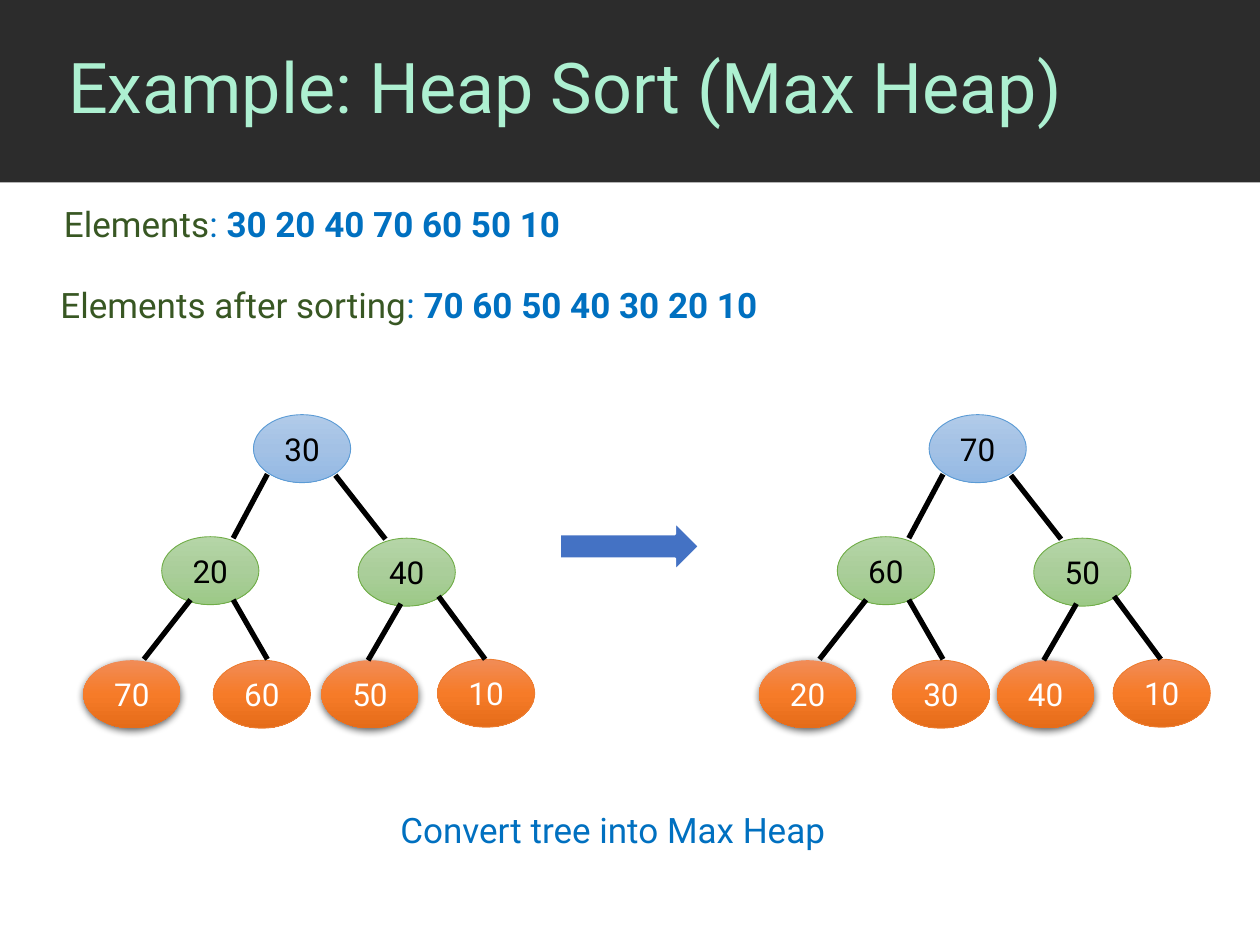
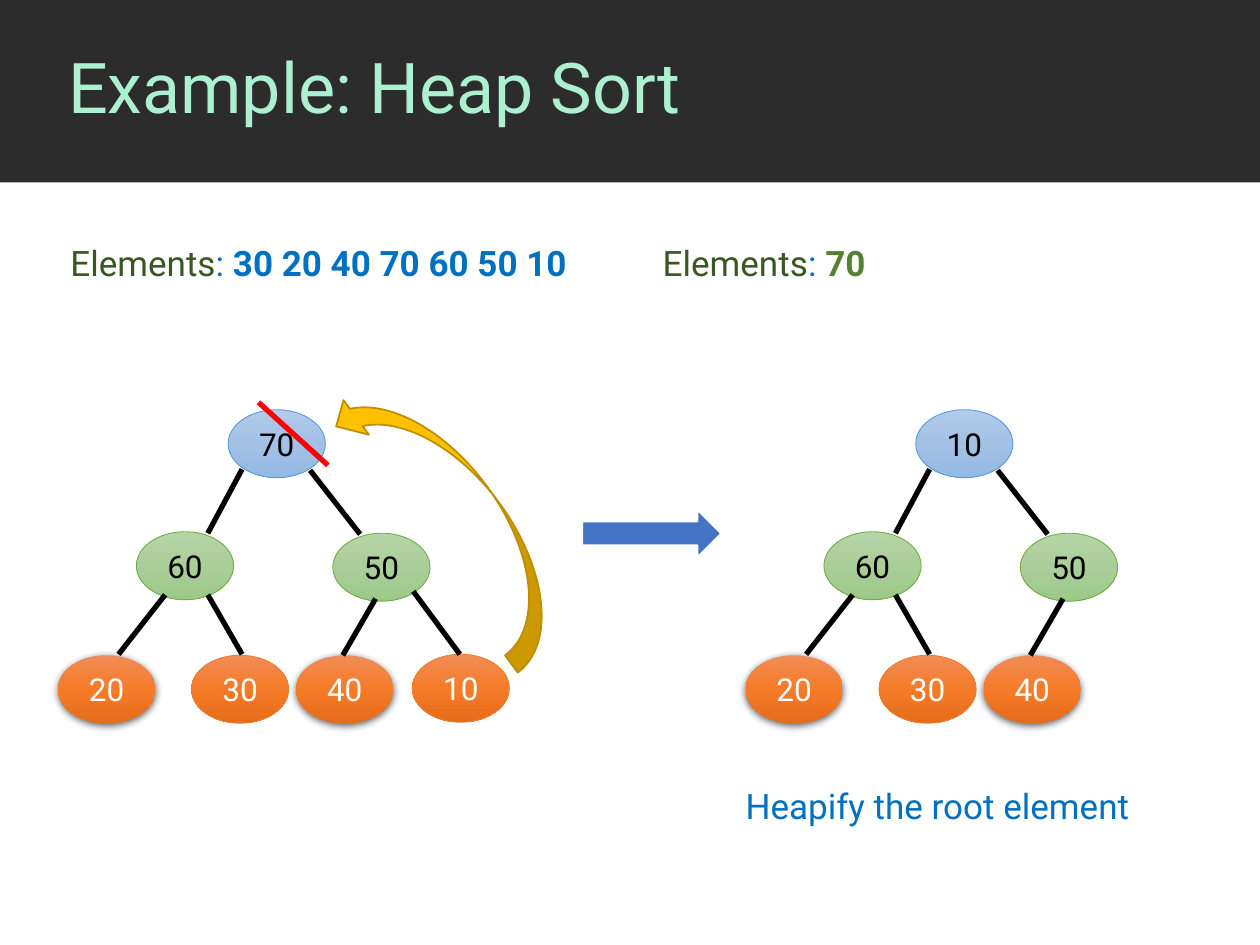
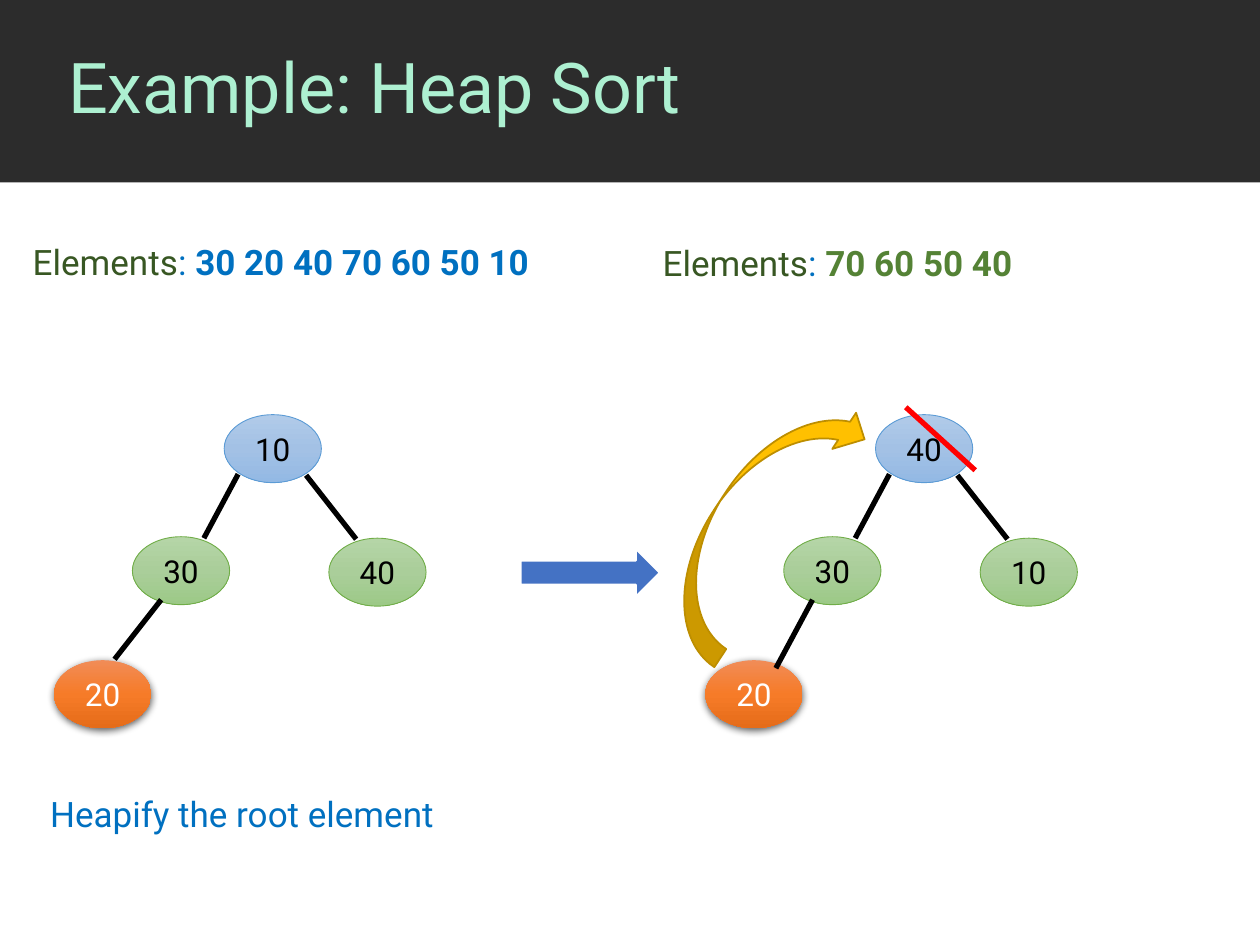
import pptx
import pptx.util
import pptx.dml.color
import pptx.enum.shapes
import pptx.enum.text
import pptx.oxml
import pptx.oxml.ns

Cm = pptx.util.Cm
Pt = pptx.util.Pt
RGBColor = pptx.dml.color.RGBColor
SHAPE = pptx.enum.shapes.MSO_SHAPE
ALIGN = pptx.enum.text.PP_ALIGN
ANCHOR = pptx.enum.text.MSO_ANCHOR
AUTO_SIZE = pptx.enum.text.MSO_AUTO_SIZE

BAND = RGBColor(0x2C, 0x2C, 0x2C)
MINT = RGBColor(0xAD, 0xF0, 0xD1)
DARK_GREEN = RGBColor(0x38, 0x57, 0x23)
GREEN = RGBColor(0x54, 0x82, 0x35)
BLUE = RGBColor(0x00, 0x70, 0xC0)
ARROW_BLUE = RGBColor(0x44, 0x72, 0xC4)
GOLD = RGBColor(0xFF, 0xC0, 0x00)
DARK_GOLD = RGBColor(0xBD, 0x8E, 0x00)
RED = RGBColor(0xFF, 0x00, 0x00)
BLACK = RGBColor(0, 0, 0)
WHITE = RGBColor(0xFF, 0xFF, 0xFF)

ROOT_STYLE = (("B1CBE9", "A3C1E5", "93B9E4"), RGBColor(0x5B, 0x9B, 0xD5), BLACK)
INNER_STYLE = (("B5D5A7", "AACE9A", "9CC987"), RGBColor(0x70, 0xAD, 0x47), BLACK)
LEAF_STYLE = (("F18C57", "F67B28", "E56C19"), RGBColor(0xED, 0x7D, 0x31), WHITE)
LEVEL_STYLES = (ROOT_STYLE, INNER_STYLE, LEAF_STYLE)
SHADOWED_NODES = (3, 5)

SLIDE_SIZE = (25.4, 19.05)
BAND_HEIGHT = 3.68
TITLE_BOX = (1.12, 0, 24.28, 3.66)
NODE_SIZE = (1.96, 1.37)
STEP_ARROW_SIZE = (2.82, 0.99)
TEXT_HEIGHT = 1.12

NODE_OFFSETS = ((0, 0), (-1.85, 2.46), (2.11, 2.49),
                (-3.43, 4.95), (-0.74, 4.95), (1.37, 4.95), (3.71, 4.93))
EDGES = {1: ((0.28, 1.2), (-0.41, 2.49)), 2: ((1.65, 1.22), (2.66, 2.51)),
         3: ((-1.27, 3.73), (-2.21, 4.93)), 4: ((-0.41, 3.73), (0.28, 4.93)),
         5: ((2.97, 3.81), (2.31, 4.95)), 6: ((3.73, 3.66), (4.67, 4.93))}
STRIKE = ((0.61, -0.15), (2.01, 1.12))

LABEL = ("Elements", DARK_GREEN, False)
COLON = (": ", BLUE, False)
ELEMENTS = [LABEL, COLON, ("30 20 40 70 60 50 10", BLUE, True)]
HEAPIFY = [("Heapify the root element", BLUE, False)]

SLIDES = [
    {"title": "Example: Heap Sort (Max Heap)",
     "texts": [(1.04, 3.96, 10.87, ELEMENTS),
               (0.97, 5.59, 14.83, [("Elements after sorting", DARK_GREEN, False), COLON,
                                    ("70 60 50 40 30 20 10", BLUE, True)]),
               (7.82, 16.18, 11.66, [("Convert tree into Max Heap", BLUE, False)])],
     "trees": [{"root": (5.11, 8.36), "values": (30, 20, 40, 70, 60, 50, 10),
                "moved_nodes": {4: (-0.81, 4.95)}},
               {"root": (18.73, 8.36), "values": (70, 60, 50, 20, 30, 40, 10)}],
     "step_arrow": (11.28, 10.52)},
    {"title": "Example: Heap Sort",
     "texts": [(1.17, 4.75, 10.67, ELEMENTS),
               (13.11, 4.75, 10.67, [LABEL, COLON, ("70", GREEN, True)]),
               (14.78, 15.7, 10.67, HEAPIFY)],
     "trees": [{"root": (4.6, 8.26), "values": (70, 60, 50, 20, 30, 40, 10), "strike": True},
               {"root": (18.46, 8.26), "values": (10, 60, 50, 20, 30, 40)}],
     "step_arrow": (11.73, 10.26),
     "swap_arrow": ((8.31, 7.09, 1.73, 6.6), 323.6, ("flipV",))},
    {"title": "Example: Heap Sort",
     "texts": [(0.41, 4.72, 10.87, ELEMENTS),
               (13.11, 4.75, 10.67, [LABEL, COLON, ("70 60 50 40", GREEN, True)]),
               (0.76, 15.85, 10.67, HEAPIFY)],
     "trees": [{"root": (4.52, 8.36), "values": (10, 30, 40, 20)},
               {"root": (17.65, 8.36), "values": (40, 30, 10, 20), "strike": True,
                "moved_edges": {3: ((-1.27, 3.73), (-2.01, 5.11))}}],
     "step_arrow": (10.49, 11.05),
     "swap_arrow": ((14.43, 7.52, 1.75, 5.94), 33.4, ("flipH", "flipV"))},
]


def lengths(values):
    return [Cm(value) for value in values]


def shifted(origin, offset):
    return origin[0] + offset[0], origin[1] + offset[1]


def xml_part(tag, attributes="", content=""):
    namespace = pptx.oxml.ns.nsdecls("a")
    return pptx.oxml.parse_xml(f"<a:{tag} {namespace} {attributes}>{content}</a:{tag}>")


def format_with(target, **values):
    for name, value in values.items():
        setattr(target, name, value)


def add_span(para, text, size, color, bold=False):
    span = para.add_run()
    span.text = text
    format_with(span.font, name="Roboto", size=Pt(size), bold=bold)
    span.font.color.rgb = color


def add_plain_shape(page, kind, box, fill=None, line=None, line_width=0.5):
    shape = page.shapes.add_shape(kind, *lengths(box))
    shape.shadow.inherit = False
    if fill is not None:
        shape.fill.solid()
        shape.fill.fore_color.rgb = fill
    if line is None:
        shape.line.fill.background()
    else:
        shape.line.color.rgb = line
        shape.line.width = Pt(line_width)
    return shape


def add_line(page, origin, ends, color):
    start, end = (shifted(origin, offset) for offset in ends)
    line = page.shapes.add_connector(pptx.enum.shapes.MSO_CONNECTOR.STRAIGHT,
                                     *lengths(start + end))
    line.line.color.rgb = color
    line.line.width = Pt(3)
    line._element.spPr.append(xml_part("effectLst"))


def add_node(page, position, value, style, shadowed):
    stops, outline, text_color = style
    node = add_plain_shape(page, SHAPE.OVAL, position + NODE_SIZE,
                           line=None if shadowed else outline)
    stop_list = "".join(f'<a:gs pos="{place * 50000}"><a:srgbClr val="{color}"/></a:gs>'
                        for place, color in enumerate(stops))
    properties = node._element.spPr
    properties.insert(2, xml_part(
        "gradFill", 'rotWithShape="1"',
        f'<a:gsLst>{stop_list}</a:gsLst><a:lin ang="5400000" scaled="0"/>'))
    if shadowed:
        properties.find(pptx.oxml.ns.qn("a:effectLst")).append(xml_part(
            "outerShdw", f'blurRad="{Pt(4.5)}" dist="{Pt(1.5)}" dir="5400000" rotWithShape="0"',
            '<a:srgbClr val="000000"><a:alpha val="63000"/></a:srgbClr>'))
    node.text_frame.vertical_anchor = ANCHOR.MIDDLE
    para = node.text_frame.paragraphs[0]
    para.alignment = ALIGN.CENTER
    add_span(para, str(value), 18, text_color)


def add_tree(page, root, values, strike=False, moved_nodes={}, moved_edges={}):
    for index, value in enumerate(values):
        level = (index + 1).bit_length() - 1
        offset = moved_nodes.get(index, NODE_OFFSETS[index])
        add_node(page, shifted(root, offset), value, LEVEL_STYLES[level],
                 index in SHADOWED_NODES)
    for index in range(1, len(values)):
        add_line(page, root, moved_edges.get(index, EDGES[index]), BLACK)
    if strike:
        add_line(page, root, STRIKE, RED)


def add_text(page, left, top, width, parts):
    box = page.shapes.add_textbox(*lengths((left, top, width, TEXT_HEIGHT)))
    format_with(box.text_frame, word_wrap=True, auto_size=AUTO_SIZE.SHAPE_TO_FIT_TEXT)
    for text, color, bold in parts:
        add_span(box.text_frame.paragraphs[0], text, 20, color, bold)


def add_swap_arrow(page, box, rotation, flips):
    arrow = add_plain_shape(page, SHAPE.CURVED_LEFT_ARROW, box, GOLD, DARK_GOLD, 1)
    arrow.rotation = rotation
    for flip in flips:
        arrow._element.spPr.xfrm.set(flip, "1")


def add_title(page, text):
    title = page.shapes.title
    format_with(title.text_frame, vertical_anchor=ANCHOR.MIDDLE, word_wrap=True,
                auto_size=AUTO_SIZE.NONE)
    para = title.text_frame.paragraphs[0]
    format_with(para, alignment=ALIGN.LEFT, line_spacing=0.9)
    add_span(para, text, 40, MINT)


def move_band_to_master(deck, page):
    band = add_plain_shape(page, SHAPE.RECTANGLE, (0, 0, SLIDE_SIZE[0], BAND_HEIGHT), BAND)
    deck.slide_master.shapes._spTree.insert(2, band._element)


def main():
    deck = pptx.Presentation()
    deck.slide_width, deck.slide_height = lengths(SLIDE_SIZE)
    layout = deck.slide_layouts.get_by_name("Title Only")
    title_box = dict(zip(("left", "top", "width", "height"), lengths(TITLE_BOX)))
    format_with(layout.placeholders[0], **title_box)
    for number, content in enumerate(SLIDES):
        page = deck.slides.add_slide(layout)
        if number == 0:
            move_band_to_master(deck, page)
        add_title(page, content["title"])
        for text in content["texts"]:
            add_text(page, *text)
        for tree in content["trees"]:
            add_tree(page, **tree)
        add_plain_shape(page, SHAPE.RIGHT_ARROW, content["step_arrow"] + STEP_ARROW_SIZE,
                        ARROW_BLUE, WHITE, 1.5)
        if "swap_arrow" in content:
            add_swap_arrow(page, *content["swap_arrow"])
    deck.save("out.pptx")


if __name__ == "__main__":
    main()
